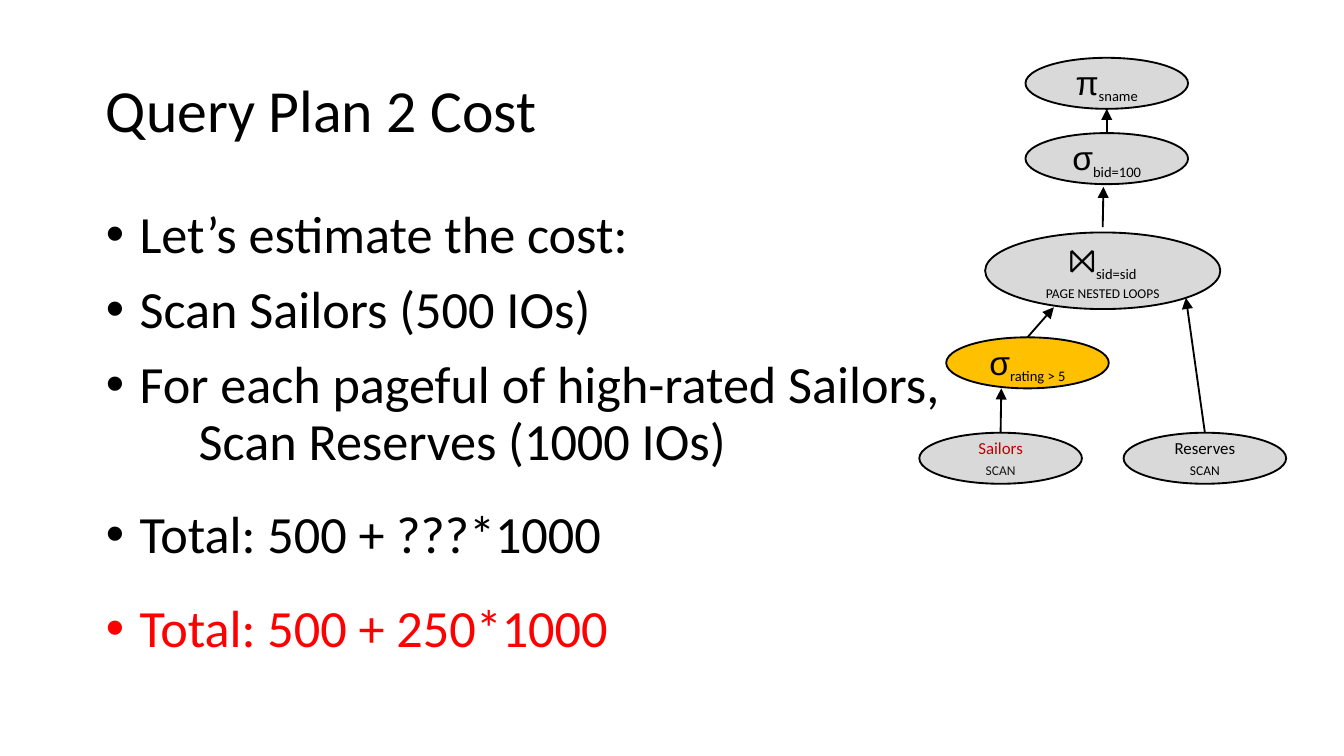
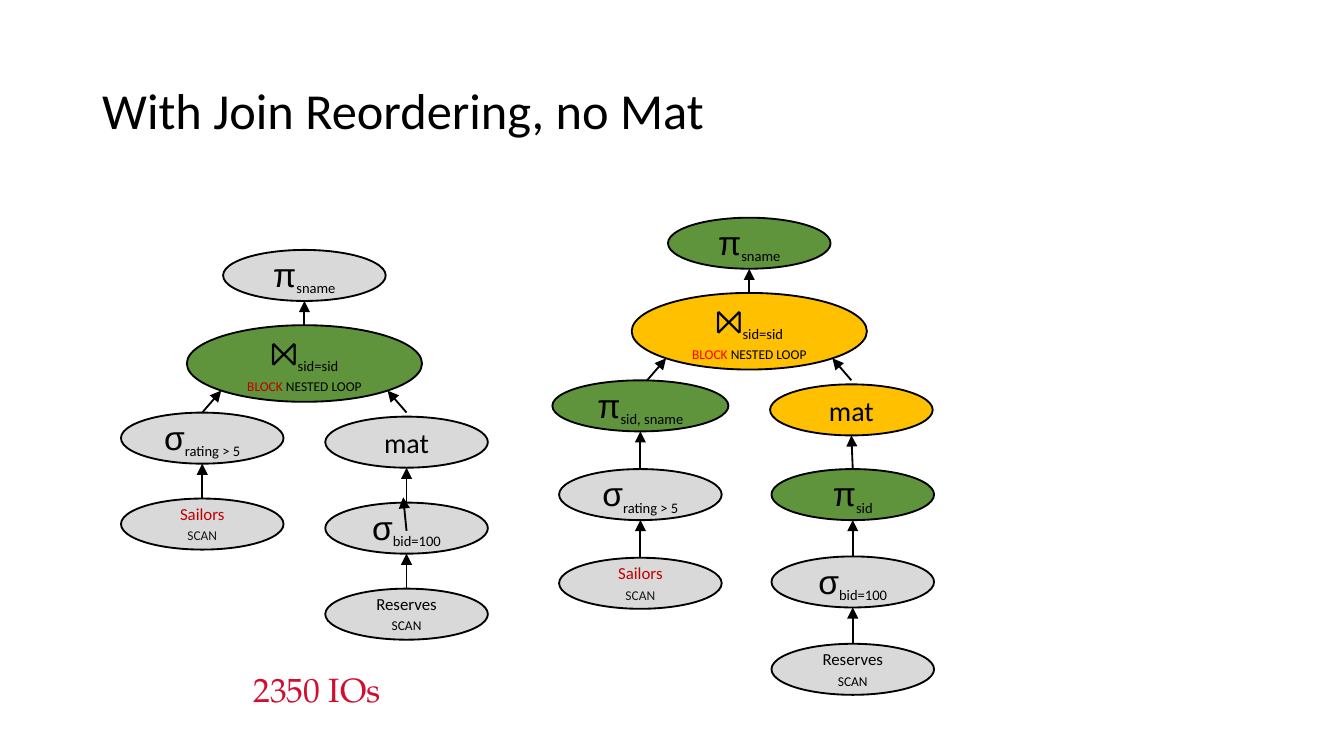
import dataclasses
import lxml.etree
import pptx
import pptx.dml.color
import pptx.enum.shapes
import pptx.enum.text
import pptx.oxml.ns
import pptx.util

WIDE = pptx.util.Inches(10)
HIGH = WIDE * 9 // 16
COL, ROW = WIDE / 100, HIGH / 56.25
ALIGN = pptx.enum.text.PP_ALIGN
MIDDLE = pptx.enum.text.MSO_ANCHOR.MIDDLE
SHAPE = pptx.enum.shapes.MSO_SHAPE
STRAIGHT = pptx.enum.shapes.MSO_CONNECTOR.STRAIGHT


@dataclasses.dataclass(frozen=True)
class Theme:
    black: str = "000000"
    ink: str = "181717"
    grey: str = "D9D9D9"
    gold: str = "FFC000"
    green: str = "5F933C"
    red: str = "FF0000"
    brick: str = "C00000"
    rose: str = "CF0E30"
    sans: str = "Calibri"
    sign: str = "Arial"
    serif: str = "TeX Gyre Pagella"
    head: float = 32
    short: float = 27
    body: float = 28
    large: float = 18
    mid: float = 15
    sub: float = 13.5
    small: float = 9
    line: float = 1


T = Theme()
PAD = {"margin_left": 0.7, "margin_right": 0.7, "margin_top": 0.4, "margin_bottom": 0.4}
HEAD = (6.9, 3, 86.2, 10.9)
NODE, JOIN, TALL, DEEP = 12.1, 17.5, 3.8, 5.7
SLANT = 0.5 ** 0.5


def paint(item, values):
    for name, value in values.items():
        setattr(item, name, value)


def color(code):
    return pptx.dml.color.RGBColor.from_string(code)


def place(left, top, width, height):
    return [round(n) for n in (left * COL, top * ROW, width * COL, height * ROW)]


def word(text, size, tint=T.black, font=T.sans, **marks):
    return text, size, tint, font, marks


def write(para, words):
    for text, size, tint, font, marks in words:
        if text == "\n":
            para.add_line_break()
            continue
        run = para.add_run()
        run.text = text
        paint(run.font, {"size": pptx.util.Pt(size), "name": font})
        run.font.color.rgb = color(tint)
        for name, value in marks.items():
            run._r.get_or_add_rPr().set(name, value)


def fill_text(frame, paras, layout, frame_values):
    paint(frame, {"word_wrap": True, **frame_values})
    for i, words in enumerate(paras):
        para = frame.paragraphs[0] if i == 0 else frame.add_paragraph()
        paint(para, layout)
        write(para, words)


def insets():
    return {name: round(value * COL) for name, value in PAD.items()}


def title(slide, box, text, size, values):
    frame = slide.shapes.add_textbox(*place(*box)).text_frame
    fill_text(frame, [[word(text, size)]], {"line_spacing": 0.9},
              {"vertical_anchor": MIDDLE, **values})


def bullets(slide, box, items):
    frame = slide.shapes.add_textbox(*place(*box)).text_frame
    paras = []
    for text, tint, gap in items:
        parts = text.split("\n")
        words = [word(parts[0], T.body, tint)]
        for part in parts[1:]:
            words += [word("\n", T.body), word("\t" + part, T.body, tint)]
        paras.append(words)
    fill_text(frame, paras, {"line_spacing": 0.9}, {})
    tag = pptx.oxml.ns.qn
    for para, (text, tint, gap) in zip(frame.paragraphs, items):
        para.space_before = pptx.util.Pt(gap)
        prop = para._p.get_or_add_pPr()
        prop.set("marL", str(round(2.5 * COL)))
        prop.set("indent", str(round(-2.5 * COL)))
        lxml.etree.SubElement(prop, tag("a:buFont"), typeface=T.sign)
        lxml.etree.SubElement(prop, tag("a:buChar"), char="•")
        if "\n" in text:
            stops = lxml.etree.SubElement(prop, tag("a:tabLst"))
            lxml.etree.SubElement(stops, tag("a:tab"), pos=str(round(6.9 * COL)), algn="l")


def op(sign, sub):
    return [[word(sign, T.large, font=T.sign), word(sub, T.sub, baseline="-25000")]]


def join(*parts):
    first = op("⨝", "sid=sid")[0]
    return [first + [word("\n", T.sub)]
            + [word(text, T.small, tint, cap="small") for text, tint in parts]]


def scan(name, tint, ink):
    return [[word(name, T.small, tint)], [word("scan", T.small, ink, cap="small")]]


SAILORS = scan("Sailors", T.brick, T.ink)
RESERVES = scan("Reserves", T.black, T.black)
MAT = [[word("mat", T.mid)]]
SNAME, BID, RATING = op("π", "sname"), op("σ", "bid=100"), op("σ", "rating > 5")


def oval(slide, box, paras, tint):
    shape = slide.shapes.add_shape(SHAPE.OVAL, *place(*box))
    shape.shadow.inherit = False
    shape.fill.solid()
    shape.fill.fore_color.rgb = color(tint)
    shape.line.color.rgb = color(T.black)
    shape.line.width = pptx.util.Pt(T.line)
    fill_text(shape.text_frame, paras, {"alignment": ALIGN.CENTER},
              {"vertical_anchor": MIDDLE, **insets()})
    return shape


def arrow(slide, child, parent, side, start, end):
    x1 = child.left + child.width / 2 + start[0] * COL
    y1 = child.top + start[1] * ROW
    reach = SLANT if side else 1
    x2 = parent.left + parent.width / 2 * (1 + side * SLANT) + end[0] * COL
    y2 = parent.top + parent.height / 2 * (1 + reach) + end[1] * ROW
    line = slide.shapes.add_connector(STRAIGHT, *[round(n) for n in (x1, y1, x2, y2)])
    if start == (0, 0):
        line.begin_connect(child, 0)
    line.line.color.rgb = color(T.black)
    line.line.width = pptx.util.Pt(T.line)
    tag = pptx.oxml.ns.qn
    lxml.etree.SubElement(line.line._get_or_add_ln(), tag("a:tailEnd"), type="triangle")
    lxml.etree.SubElement(line._element.spPr, tag("a:effectLst"))


def plan(slide, box, nodes, links):
    left, top = box
    made = {}
    for name, (paras, tint, mid, down, *width) in nodes.items():
        wide = width[0] if width else NODE
        high = DEEP if wide == JOIN else TALL
        made[name] = oval(slide, (left + mid - wide / 2, top + down, wide, high), paras, tint)
    for child, parent, *more in links:
        side, start, end = more + [0, (0, 0), (0, 0)][len(more):]
        arrow(slide, made[child], made[parent], side, start, end)


def label(slide, box, text):
    frame = slide.shapes.add_textbox(*place(*box)).text_frame
    fill_text(frame, [[word(text, T.large, T.rose, T.serif)]], {"alignment": ALIGN.CENTER},
              {"vertical_anchor": MIDDLE, "word_wrap": False})


def cost(slide):
    title(slide, HEAD, "Query Plan 2 Cost", T.head, {})
    bullets(slide, (6.9, 15, 86.2, 35.7), [
        ("Let’s estimate the cost:", T.black, 10),
        ("Scan Sailors (500 IOs)", T.black, 10),
        ("For each pageful of high-rated Sailors, \nScan Reserves (1000 IOs)", T.black, 10),
        ("Total: 500 + ???*1000", T.black, 20),
        ("Total: 500 + 250*1000", T.red, 20),
    ])
    plan(slide, (68.4, 4.3), {
        "sname": (SNAME, T.grey, 13.95, 0),
        "bid": (BID, T.grey, 13.95, 5.6),
        "rating": (RATING, T.gold, 8.05, 20.8),
        "join": (join(("page nested loops", T.black)), T.grey, 13.65, 13, JOIN),
        "sailors": (SAILORS, T.grey, 6.05, 27.9),
        "reserves": (RESERVES, T.grey, 21.25, 27.9),
    }, [
        ("sailors", "rating", 0, (0, 0), (-1.95, 0)),
        ("reserves", "join", 1),
        ("rating", "join", -1, (0, 0), (2.55, 0.7)),
        ("join", "bid", 0, (0, -0.4), (-0.25, 0.2)),
        ("bid", "sname"),
    ])


def reorder(slide):
    title(slide, HEAD, "With Join Reordering, no Mat", T.short, insets())
    plan(slide, (9, 18.6), {
        "rating": (RATING, T.grey, 6.05, 12.1),
        "sailors": (SAILORS, T.grey, 6.05, 18.5),
        "reserves": (RESERVES, T.grey, 21.25, 25.2),
        "bid": (BID, T.grey, 21.25, 18.8),
        "sname": (SNAME, T.grey, 13.65, 0),
        "join": (join(("block", T.brick), (" nested loop", T.black)), T.green, 13.65, 5.6, JOIN),
        "mat": (MAT, T.grey, 21.25, 12.4),
    }, [
        ("sailors", "rating"),
        ("reserves", "bid"),
        ("mat", "join", 1, (0, -0.3)),
        ("rating", "join", -1),
        ("join", "sname"),
        ("bid", "mat"),
        ("bid", "mat", 0, (0, 2.1), (-0.25, 2.2)),
    ])
    label(slide, (15.8, 49.4, 15.6, 3.8), "2350 IOs")
    plan(slide, (41.1, 16.2), {
        "rating": (RATING, T.grey, 6.55, 18.7),
        "sailors": (SAILORS, T.grey, 6.55, 25.3),
        "reserves": (RESERVES, T.grey, 22.35, 31.7),
        "bid": (BID, T.grey, 22.35, 25.2),
        "join": (join(("block", T.red), (" nested loop", T.black)), T.gold, 14.65, 5.6, JOIN),
        "mat": (MAT, T.gold, 22.25, 12.4),
        "sid": (op("π", "sid"), T.green, 22.35, 18.7),
        "both": (op("π", "sid, sname"), T.green, 6.55, 12.1, 13.1),
        "sname": (SNAME, T.green, 14.65, 0),
    }, [
        ("rating", "both"),
        ("reserves", "bid"),
        ("mat", "join", 1, (0, -0.3)),
        ("both", "join", -1, (0.5, 0)),
        ("sid", "mat"),
        ("sailors", "rating"),
        ("bid", "sid"),
        ("join", "sname"),
    ])


def main():
    deck = pptx.Presentation()
    paint(deck, {"slide_width": WIDE, "slide_height": HIGH})
    for build in (cost, reorder):
        build(deck.slides.add_slide(deck.slide_layouts[6]))
    deck.save("out.pptx")


if __name__ == "__main__":
    main()
